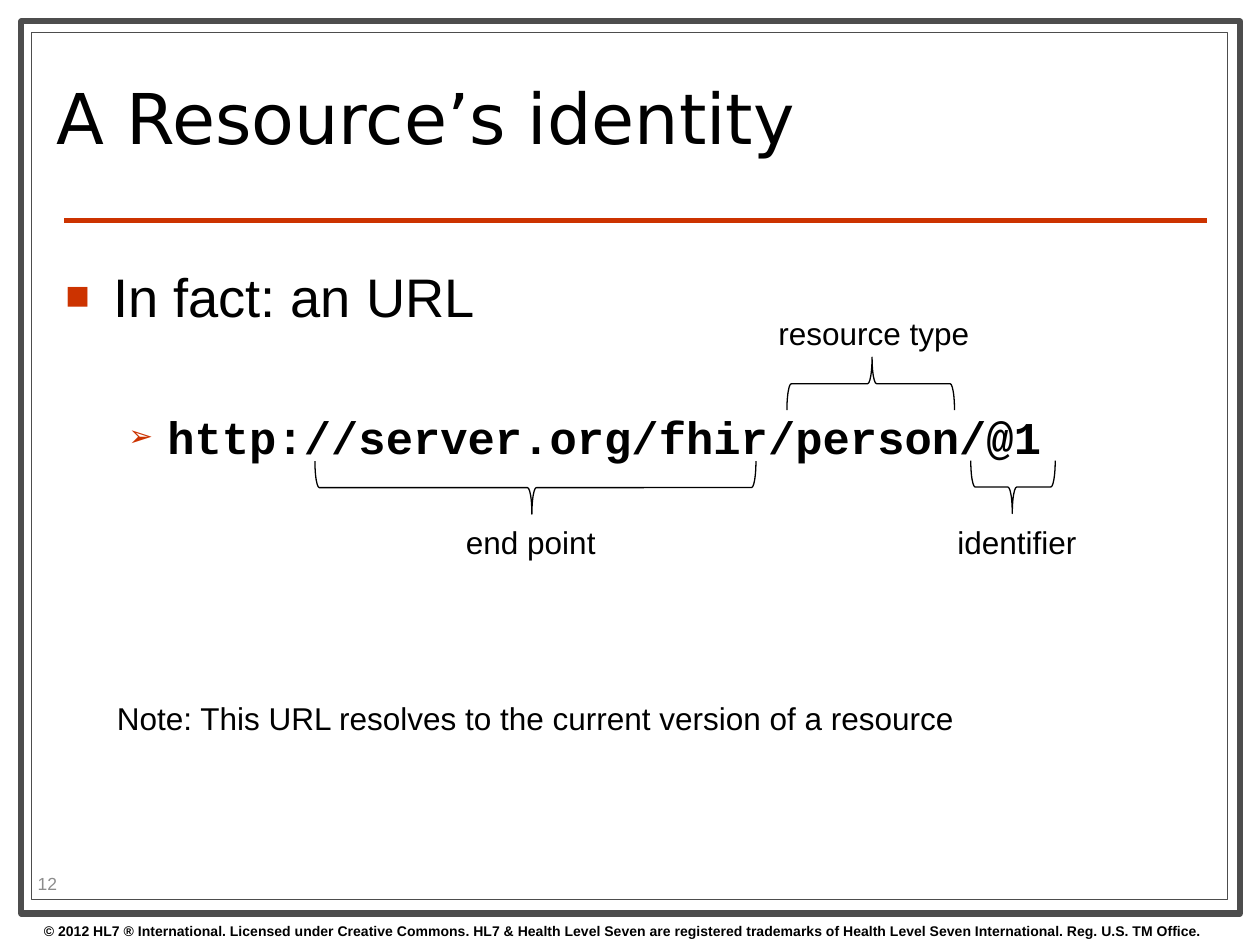
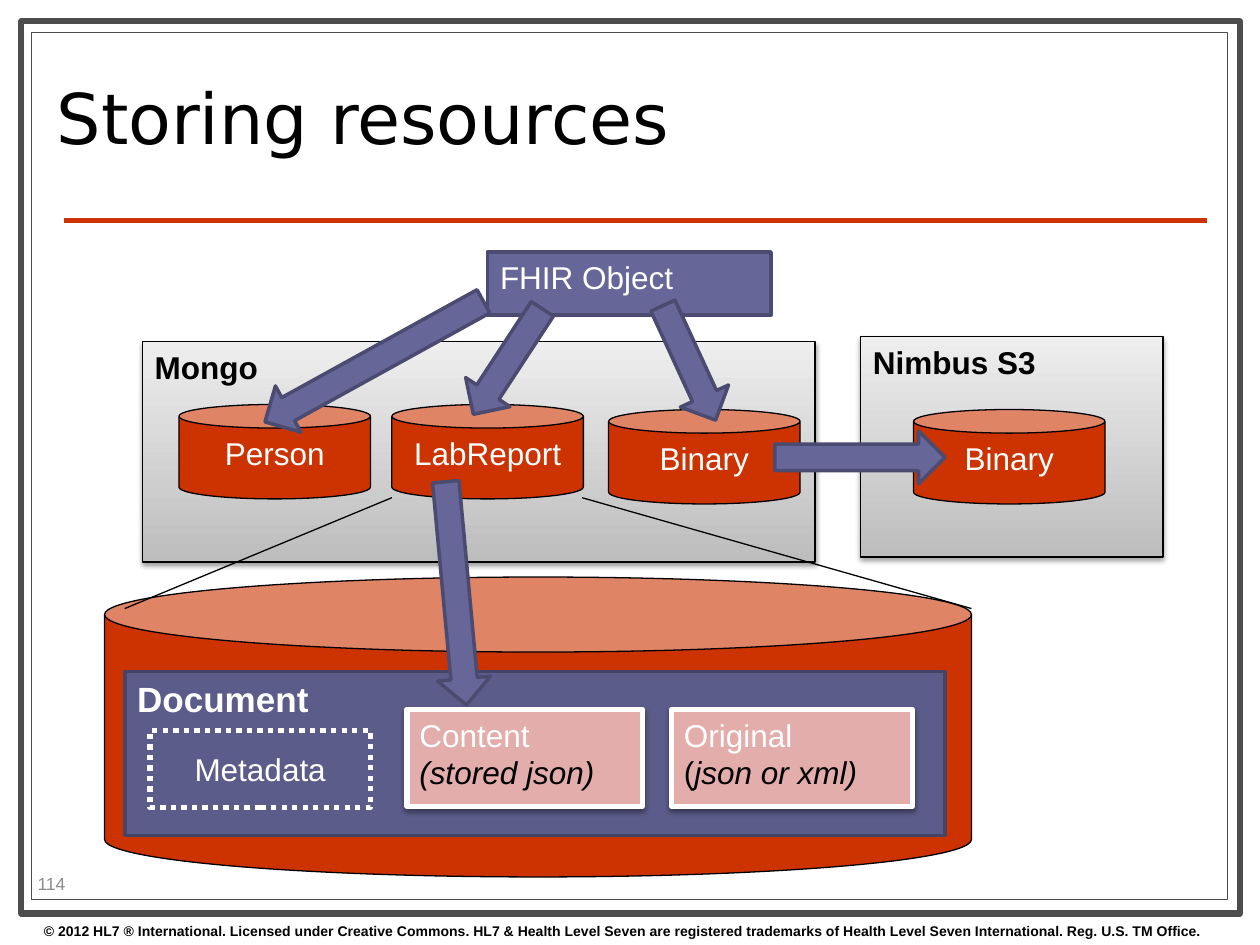
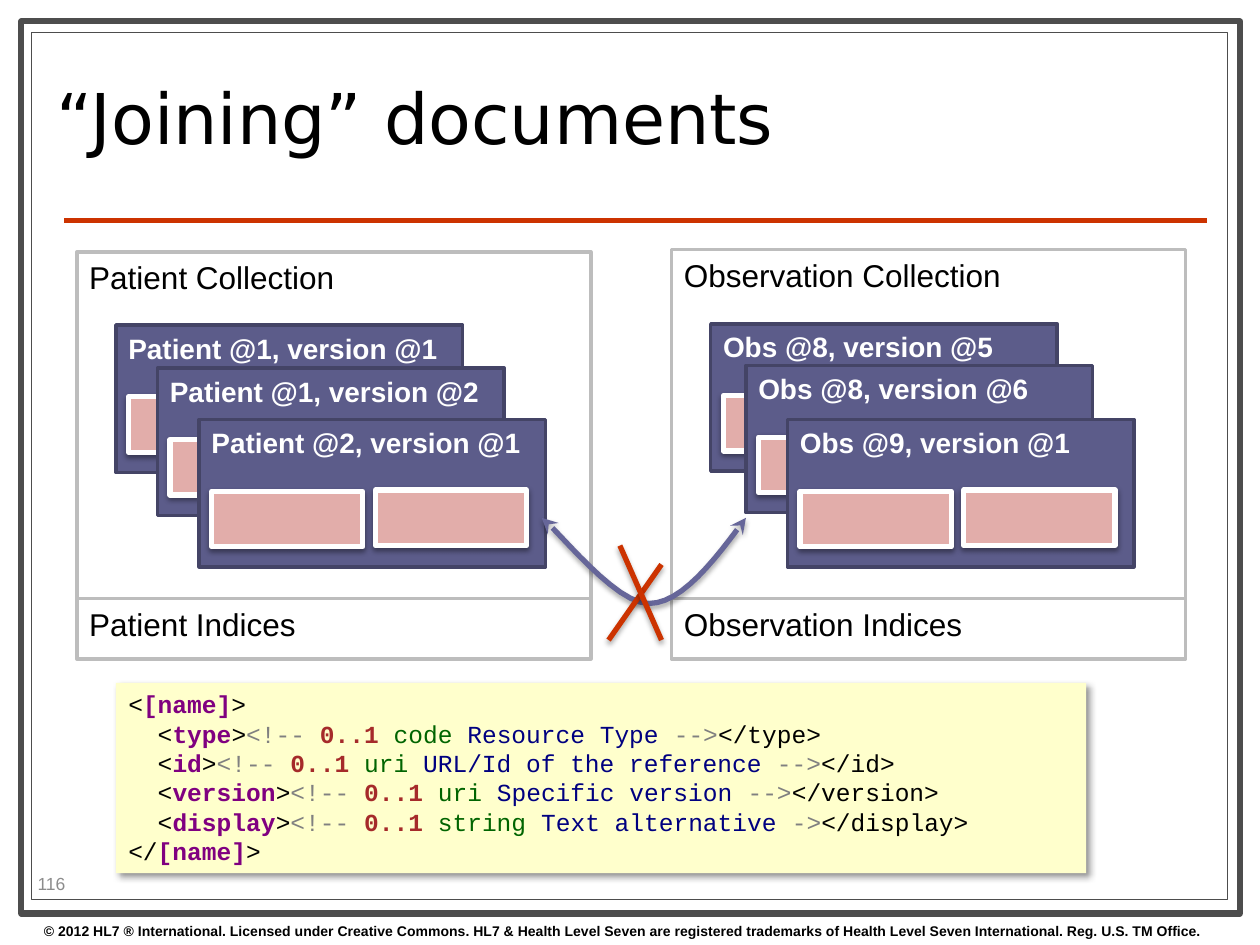
from lxml.etree import SubElement
from pptx import Presentation
from pptx.dml.color import RGBColor
from pptx.enum.dml import MSO_LINE
from pptx.enum.shapes import MSO_CONNECTOR, MSO_SHAPE
from pptx.enum.text import MSO_ANCHOR, MSO_AUTO_SIZE, PP_ALIGN
from pptx.oxml.ns import qn
from pptx.util import Emu, Pt

PX = 9144
SLIDE_SIZE = (1000, 750)
SANS, MONO, TITLE_FONT = "Arial", "Courier New", "DejaVu Sans"
COLORS = {
    "white": "FFFFFF", "black": "000000", "frame": "4D4D4D", "red": "CC3300",
    "number": "8C8C8C", "violet": "666699", "violet_edge": "4B4B71",
    "document": "5C5C8A", "document_edge": "444466", "pink": "E2ADAA",
    "silver": "BDBDBD", "pale": "EEEEEE", "cream": "FFFFCC",
    "name": "800080", "comment": "808080", "count": "A52A2A",
    "datatype": "006400", "meaning": "000080",
}
SOFT_SHADOW = (38, 3.1, 1.6, 90)
LINE_SHADOW = (35, 3.1, 1.8, 90)
NOTE_SHADOW = (40, 4, 3, 45)
COPYRIGHT = (
    "© 2012 HL7 ® International. Licensed under Creative Commons. "
    "HL7 & Health Level Seven are registered trademarks of "
    "Health Level Seven International. Reg. U.S. TM Office."
)


def px(*lengths):
    return [Emu(length * PX) for length in lengths]


def rgb(name):
    return RGBColor.from_string(COLORS[name])


def style_font(font, size, color, bold=False, italic=False, name=SANS):
    font.name = name
    font.size = Pt(size)
    font.bold = bold
    font.italic = italic
    font.color.rgb = rgb(color)


def write_text(shape, text, size=18, color="black", bold=False,
               align=PP_ALIGN.LEFT, anchor=MSO_ANCHOR.TOP, name=SANS):
    frame = shape.text_frame
    frame.text = text
    frame.vertical_anchor = anchor
    for paragraph in frame.paragraphs:
        paragraph.alignment = align
        for run in paragraph.runs:
            style_font(run.font, size, color, bold, name=name)


def set_effects(shape, shadow=None):
    effects = SubElement(shape.element.spPr, qn("a:effectLst"))
    if shadow:
        alpha, blur, distance, angle = shadow
        outer = SubElement(effects, qn("a:outerShdw"), blurRad=str(Pt(blur)),
                           dist=str(Pt(distance)), dir=str(angle * 60000),
                           rotWithShape="0")
        color = SubElement(outer, qn("a:srgbClr"), val=COLORS["black"])
        SubElement(color, qn("a:alpha"), val=str(alpha * 1000))


def add_block(shapes, box, fill=None, line=None, weight=0.75,
              kind=MSO_SHAPE.RECTANGLE, shadow=None, rotation=0):
    shape = shapes.add_shape(kind, *px(*box))
    shape.rotation = rotation
    if fill:
        shape.fill.solid()
        shape.fill.fore_color.rgb = rgb(fill)
    else:
        shape.fill.background()
    if line:
        shape.line.color.rgb = rgb(line)
        shape.line.width = Pt(weight)
    else:
        shape.line.fill.background()
    set_effects(shape, shadow)
    return shape


def add_line(slide, start, end, color="black", weight=0.75, shadow=None):
    connector = slide.shapes.add_connector(
        MSO_CONNECTOR.STRAIGHT, *px(*start), *px(*end))
    connector.line.color.rgb = rgb(color)
    connector.line.width = Pt(weight)
    set_effects(connector, shadow)


def add_label(slide, box, text, wrap=False, **style):
    label = slide.shapes.add_textbox(*px(*box))
    label.text_frame.word_wrap = wrap
    write_text(label, text, **style)
    return label


def add_framed_slide(presentation, title_text, number):
    slide = presentation.slides.add_slide(presentation.slide_layouts[5])
    add_block(slide.shapes, (17, 17, 967, 708), "white", "frame", 3.5)
    add_block(slide.shapes, (25, 26, 949, 688), "white", "frame")
    add_line(slide, (51, 175), (958, 175), "red", 3)
    add_label(slide, (25, 727, 975, 23), COPYRIGHT, True, size=8, bold=True)
    add_label(slide, (20, 689, 79, 24), str(number), True, size=10,
              color="number", anchor=MSO_ANCHOR.MIDDLE)

    title = slide.shapes.title
    title.element.getparent().append(title.element)
    title.left, title.top, title.width, title.height = px(35, 36, 717, 126)
    write_text(title, title_text, 40, anchor=MSO_ANCHOR.MIDDLE, name=TITLE_FONT)
    title.text_frame.auto_size = MSO_AUTO_SIZE.NONE
    title.text_frame.paragraphs[0].line_spacing = 0.8
    return slide


def set_bullet(paragraph, symbol, percent, margin, hanging):
    properties = paragraph._p.get_or_add_pPr()
    properties.set("marL", str(margin * PX))
    properties.set("indent", str(-hanging * PX))
    color = SubElement(properties, qn("a:buClr"))
    SubElement(color, qn("a:srgbClr"), val=COLORS["red"])
    SubElement(properties, qn("a:buSzPct"), val=str(percent * 1000))
    SubElement(properties, qn("a:buFont"), typeface=SANS)
    SubElement(properties, qn("a:buChar"), char=symbol)


def add_url_outline(slide, box):
    body = add_label(slide, box, "In fact: an URL\nhttp://server.org/fhir/person/@1",
                     True, size=31)
    statement, url = body.text_frame.paragraphs
    set_bullet(statement, "■", 75, 38, 38)
    set_bullet(url, "➢", 65, 81, 31)
    url.level = 1
    url.space_before = Pt(46)
    style_font(url.runs[0].font, 26, "black", bold=True, name=MONO)


def add_brace(slide, box, rotation):
    left, top, width, height = box
    upright = (left + (width - height) // 2, top + (height - width) // 2,
               height, width)
    brace = add_block(slide.shapes, upright, line="black",
                      kind=MSO_SHAPE.LEFT_BRACE, rotation=rotation)
    brace.adjustments[0] = 0.083
    brace.adjustments[1] = 0.492


def build_identity_slide(presentation):
    slide = add_framed_slide(presentation, "A Resource’s identity", 12)
    add_url_outline(slide, (42, 204, 917, 486))
    for brace_box, rotation, label_box, text in (
        ((250, 366, 350, 42), 270, (360, 410, 124, 40), "end point"),
        ((625, 284, 133, 42), 90, (608, 244, 173, 40), "resource type"),
        ((771, 366, 67, 42), 270, (750, 410, 116, 40), "identifier"),
    ):
        add_brace(slide, brace_box, rotation)
        add_label(slide, label_box, text)
    add_label(slide, (83, 550, 691, 40),
              "Note: This URL resolves to the current version of a resource")


def add_store(slide, box, name):
    store = add_block(slide.shapes, box, "silver", "black", shadow=SOFT_SHADOW)
    store.fill.gradient()
    store.fill.gradient_angle = 90
    for stop, color in zip(store.fill.gradient_stops, ("silver", "pale")):
        stop.color.rgb = rgb(color)
    write_text(store, name, bold=True)


def add_can(slide, left, top, name):
    can = add_block(slide.shapes, (left, top, 152, 75), "red", "black",
                    kind=MSO_SHAPE.CAN)
    write_text(can, name, color="white", align=PP_ALIGN.CENTER)


def add_arrow(slide, left, top, length, rotation=0):
    add_block(slide.shapes, (left, top, length, 42), "violet", "violet_edge", 2,
              MSO_SHAPE.RIGHT_ARROW, rotation=rotation)


def add_pink_box(shapes, box):
    return add_block(shapes, box, "pink", "white", 3, shadow=SOFT_SHADOW)


def add_part(shapes, box, heading, upright, italic):
    part = add_pink_box(shapes, box)
    write_text(part, heading, color="white")
    detail = part.text_frame.add_paragraph()
    detail.alignment = PP_ALIGN.LEFT
    for text, slanted in ((upright, False), (italic, True)):
        if text:
            run = detail.add_run()
            run.text = text
            style_font(run.font, 18, "black", italic=slanted)


def add_document(slide, left, top):
    shapes = slide.shapes.add_group_shape().shapes
    document = add_block(shapes, (left, top, 651, 130), "document",
                         "document_edge", 2)
    write_text(document, "Document", 20, "white", True)
    add_part(shapes, (left + 224, top + 30, 187, 77), "Content", "", "(stored json)")
    add_part(shapes, (left + 434, top + 30, 191, 77), "Original", "(", "json or xml)")
    metadata = add_block(shapes, (left + 20, top + 47, 175, 61), None, "white", 3)
    metadata.line.dash_style = MSO_LINE.ROUND_DOT
    write_text(metadata, "Metadata", color="white", align=PP_ALIGN.CENTER,
               anchor=MSO_ANCHOR.MIDDLE)


def build_storage_slide(presentation):
    slide = add_framed_slide(presentation, "Storing resources", 114)
    add_store(slide, (683, 267, 240, 175), "Nimbus S3")
    source = add_block(slide.shapes, (387, 200, 225, 50), "violet",
                       "violet_edge", 2)
    write_text(source, "FHIR Object", color="white")
    add_store(slide, (113, 271, 534, 175), "Mongo")
    add_can(slide, 142, 321, "Person")
    add_can(slide, 311, 321, "LabReport")
    add_can(slide, 483, 325, "Binary")
    add_arrow(slide, 353, 266, 100, 123.2)
    add_arrow(slide, 497, 267, 100, 65.3)
    add_arrow(slide, 198, 266, 198, 151.1)

    add_block(slide.shapes, (83, 458, 688, 238), "red", "black",
              kind=MSO_SHAPE.CAN)
    add_line(slide, (311, 395), (99, 483))
    add_line(slide, (462, 395), (771, 483))
    add_document(slide, 99, 533)
    add_arrow(slide, 273, 450, 178, 84.7)
    add_can(slide, 725, 325, "Binary")
    add_arrow(slide, 615, 342, 135)


def add_version_card(slide, left, top, text):
    shapes = slide.shapes.add_group_shape().shapes
    card = add_block(shapes, (left, top, 275, 117), "document",
                     "document_edge", 2)
    write_text(card, text, 16, "white", True)
    add_pink_box(shapes, (left + 10, top + 57, 120, 44))
    add_pink_box(shapes, (left + 140, top + 56, 120, 44))


def add_collection(slide, left, top, name, cards):
    panel = add_block(slide.shapes, (left, top, 408, 277), "white", "silver", 2)
    write_text(panel, f"{name} Collection")
    for across, down, text in cards:
        add_version_card(slide, left + across, top + down, text)
    indices = add_block(slide.shapes, (left, 475, 408, 48), "white", "silver", 2)
    write_text(indices, f"{name} Indices")


def bezier_points(start, control_1, control_2, end, steps=12):
    for step in range(1, steps + 1):
        t = step / steps
        weights = ((1 - t) ** 3, 3 * t * (1 - t) ** 2, 3 * t * t * (1 - t), t ** 3)
        yield tuple(
            round(PX * sum(w * value for w, value in zip(weights, values)))
            for values in zip(start, control_1, control_2, end))


def add_crossed_link(slide):
    start, bottom, end = (592, 411), (515, 479), (430, 411)
    points = [*bezier_points(start, (567, 445), (541, 479), bottom),
              *bezier_points(bottom, (488, 479), (445, 423), end)]
    builder = slide.shapes.build_freeform(*px(*start))
    builder.add_line_segments(points, close=False)
    link = builder.convert_to_shape()
    link.fill.background()
    link.line.color.rgb = rgb("violet")
    link.line.width = Pt(3)
    outline = link.line._get_or_add_ln()
    for tag in ("a:headEnd", "a:tailEnd"):
        SubElement(outline, qn(tag), type="stealth")
    set_effects(link, LINE_SHADOW)
    add_line(slide, (525, 448), (483, 508), "red", 3, LINE_SHADOW)
    add_line(slide, (492, 433), (525, 508), "red", 3, LINE_SHADOW)


def field_line(name, datatype, meaning, closing="-->"):
    return [("  <", "black"), (name, "name"), (">", "black"),
            ("<!-- ", "comment"), ("0..1 ", "count"),
            (f"{datatype} ", "datatype"), (f"{meaning} ", "meaning"),
            (closing, "comment"), (f"</{name}>", "black")]


def add_code(slide, box):
    lines = [
        [("<", "black"), ("[name]", "name"), (">", "black")],
        field_line("type", "code", "Resource Type"),
        field_line("id", "uri", "URL/Id of the reference"),
        field_line("version", "uri", "Specific version"),
        field_line("display", "string", "Text alternative", "->"),
        [("</", "black"), ("[name]", "name"), (">", "black")],
    ]
    note = add_block(slide.shapes, box, "cream", shadow=NOTE_SHADOW)
    frame = note.text_frame
    frame.vertical_anchor = MSO_ANCHOR.TOP
    for index, line in enumerate(lines):
        paragraph = frame.add_paragraph() if index else frame.paragraphs[0]
        paragraph.alignment = PP_ALIGN.LEFT
        paragraph.line_spacing = Pt(16.8)
        for text, color in line:
            run = paragraph.add_run()
            run.text = text
            style_font(run.font, 14, color, color in ("name", "count"), name=MONO)


def build_joining_slide(presentation):
    slide = add_framed_slide(presentation, "“Joining” documents", 116)
    add_collection(slide, 61, 200, "Patient", (
        (31, 58, "Patient @1, version @1"),
        (64, 92, "Patient @1, version @2"),
        (97, 133, "Patient @2, version @1"),
    ))
    add_collection(slide, 533, 198, "Observation", (
        (31, 59, "Obs @8, version @5"),
        (59, 92, "Obs @8, version @6"),
        (92, 135, "Obs @9, version @1"),
    ))
    add_crossed_link(slide)
    add_code(slide, (92, 542, 770, 151))


def main():
    presentation = Presentation()
    presentation.slide_width, presentation.slide_height = px(*SLIDE_SIZE)
    build_identity_slide(presentation)
    build_storage_slide(presentation)
    build_joining_slide(presentation)
    presentation.save("out.pptx")


if __name__ == "__main__":
    main()
